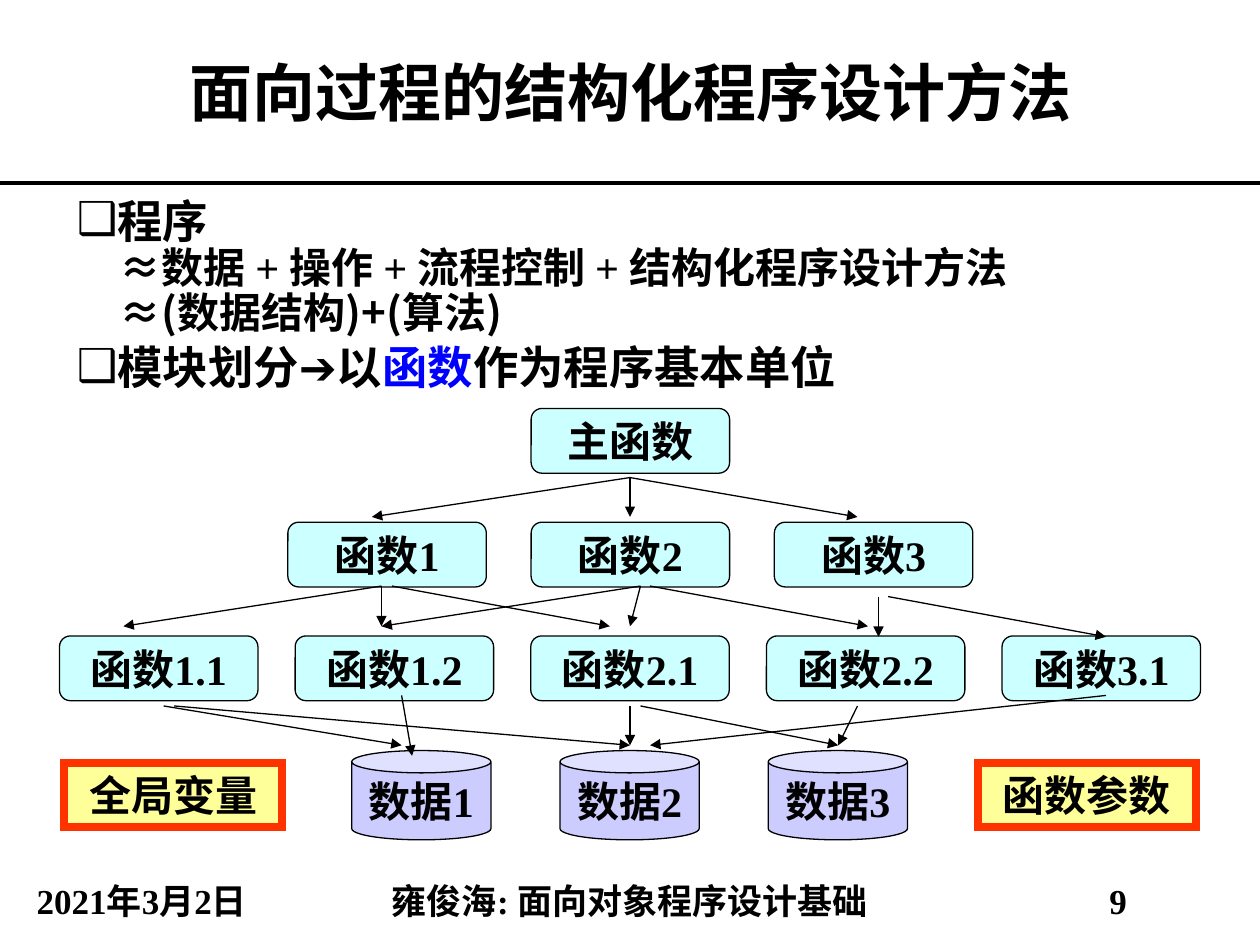
from collections import namedtuple

from lxml.etree import SubElement
from pptx import Presentation
from pptx.dml.color import RGBColor
from pptx.enum.shapes import MSO_CONNECTOR as Connector, MSO_SHAPE as Shape
from pptx.enum.text import MSO_ANCHOR as Anchor, MSO_AUTO_SIZE as AutoSize, PP_ALIGN as Align
from pptx.oxml.ns import qn
from pptx.util import Pt

BLACK = RGBColor(0x00, 0x00, 0x00)
BLUE = RGBColor(0x00, 0x00, 0xFF)
CYAN = RGBColor(0xCC, 0xFF, 0xFF)
LAVENDER = RGBColor(0xCC, 0xCC, 0xFF)
YELLOW = RGBColor(0xFF, 0xFF, 0x99)
RED = RGBColor(0xFF, 0x33, 0x00)
LATIN = "Times New Roman"
CHINESE = "Noto Sans CJK SC"

Box = namedtuple("Box", "left top width height")


def add_text(paragraph, text, size=24, font=LATIN, color=BLACK, align=Align.CENTER, spacing=None):
    paragraph.alignment = align
    if spacing:
        paragraph.line_spacing = spacing
    run = paragraph.add_run()
    run.text = text
    run.font.size = Pt(size)
    run.font.name = font
    run.font.bold = True
    run.font.color.rgb = color
    SubElement(run.font._element, qn("a:ea"), typeface=CHINESE)


def place(shape, box):
    shape.left, shape.top, shape.width, shape.height = map(Pt, box)


def add_line(slide, start, end, width=0.75, arrow=False):
    line = slide.shapes.add_connector(Connector.STRAIGHT, *map(Pt, (*start, *end)))
    line.line.color.rgb = BLACK
    line.line.width = Pt(width)
    if arrow:
        SubElement(line.line._get_or_add_ln(), qn("a:tailEnd"), type="triangle")
    SubElement(line._element.spPr, qn("a:effectLst"))


def add_title(slide, box):
    title = slide.shapes.title
    place(title, box)
    title.text_frame.vertical_anchor = Anchor.MIDDLE
    add_text(title.text_frame.paragraphs[0], "面向过程的结构化程序设计方法", size=36)
    bottom = box.top + box.height
    add_line(slide, (box.left, bottom), (box.left + box.width, bottom), width=2.25)


def add_body(slide, box):
    body = slide.placeholders[1]
    place(body, box)
    frame = body.text_frame
    frame.auto_size = AutoSize.NONE
    lines = [
        (0, 0, [("程序", {})]),
        (1, 5, [("≈", {"font": CHINESE}), ("数据 + 操作 + 流程控制 + 结构化程序设计方法", {})]),
        (1, 5, [("≈(数据结构)+(算法)", {"font": CHINESE})]),
        (0, 10, [("模块划分➔以", {}), ("函数", {"color": BLUE}), ("作为程序基本单位", {})]),
    ]
    for index, (level, before, parts) in enumerate(lines):
        paragraph = frame.add_paragraph() if index else frame.paragraphs[0]
        paragraph.level = level
        paragraph.space_before = Pt(before)
        properties = paragraph._p.get_or_add_pPr()
        properties.set("marL", str(Pt(24.5 if level else 18)))
        properties.set("indent", str(Pt(0 if level else -18)))
        if level:
            SubElement(properties, qn("a:buNone"))
        else:
            SubElement(properties, qn("a:buChar"), char="❑")
        for text, options in parts:
            add_text(paragraph, text, size=24 if level else 25.9, align=Align.JUSTIFY,
                     spacing=0.72, **options)


def add_row(slide, box, kind, labels, width, fill, line=BLACK, line_width=0.75):
    step = (box.width - width) / max(len(labels) - 1, 1)
    for index, label in enumerate(labels):
        node = slide.shapes.add_shape(
            kind, *map(Pt, (box.left + index * step, box.top, width, box.height)))
        node.shadow.inherit = False
        node.fill.solid()
        node.fill.fore_color.rgb = fill
        node.line.color.rgb = line
        node.line.width = Pt(line_width)
        SubElement(node.line._get_or_add_ln(), qn("a:miter"), lim="800000")
        node.text_frame.word_wrap = False
        node.text_frame.vertical_anchor = Anchor.MIDDLE
        add_text(node.text_frame.paragraphs[0], label)


def add_calls(slide, box, spans):
    for start, end, rise, drop in spans:
        add_line(slide, (box.left + start, box.top - rise),
                 (box.left + end, box.top + box.height + drop), arrow=True)


def add_diagram(slide, box):
    def band(top, height, left=0.0, width=box.width):
        return Box(box.left + left, box.top + top, width, height)

    node = 113.4
    add_row(slide, band(0, 37, 269.5, node), Shape.ROUNDED_RECTANGLE, ["主函数"], node, CYAN)
    add_row(slide, band(65, 37, 130.5, 391.4), Shape.ROUNDED_RECTANGLE,
            ["函数1", "函数2", "函数3"], node, CYAN)
    add_row(slide, band(130, 37), Shape.ROUNDED_RECTANGLE,
            ["函数1.1", "函数1.2", "函数2.1", "函数2.2", "函数3.1"], node, CYAN)
    add_row(slide, band(195.5, 51, 167, 317.5), Shape.CAN,
            ["数据1", "数据2", "数据3"], 79.5, LAVENDER)
    add_row(slide, band(202.5, 36.5, 2.7, 646.6), Shape.RECTANGLE,
            ["全局变量", "函数参数"], 124.6, YELLOW, RED, 4.5)

    add_calls(slide, band(39.5, 22.5), [(326, x, 0, 0) for x in (326, 456, 178.5)])
    add_calls(slide, band(101.5, 23), [
        (184, 184, 0, 0), (190, 314.5, 0, 0), (184, 36.5, 0, 0),
        (332, 326, 0, 0), (337.5, 462, 0, 0), (332, 184, 0, 0),
        (468, 468, -6, 6), (473.5, 598, -6, 6)])
    add_calls(slide, band(170, 22.5), [
        (59.5, 195.5, 0, 0), (65.5, 326, 0, 0), (195.5, 201.5, 6, 6),
        (326, 326, 0, 0), (456, 445, 0, 0), (598, 337.5, 6, 0), (332, 445, 0, 0)])


def add_footer(slide, box):
    side = 162
    parts = [
        (0, side, "2021年3月2日"),
        (side, box.width - 2 * side, "雍俊海: 面向对象程序设计基础"),
        (box.width - side, side, "9"),
    ]
    for offset, width, text in parts:
        part = slide.shapes.add_textbox(
            *map(Pt, (box.left + offset, box.top, width, box.height)))
        part.text_frame.word_wrap = True
        part.text_frame.vertical_anchor = Anchor.MIDDLE
        add_text(part.text_frame.paragraphs[0], text, size=20, spacing=0.9)


def main():
    presentation = Presentation()
    presentation.slide_width, presentation.slide_height = Pt(720), Pt(540)
    slide = presentation.slides.add_slide(presentation.slide_layouts[1])
    add_title(slide, Box(0, 0, 720, 104.5))
    add_body(slide, Box(36.7, 114.5, 647.3, 120))
    add_diagram(slide, Box(34, 233.4, 652, 247))
    add_footer(slide, Box(0, 501.5, 720, 29))
    presentation.save("out.pptx")


if __name__ == "__main__":
    main()
